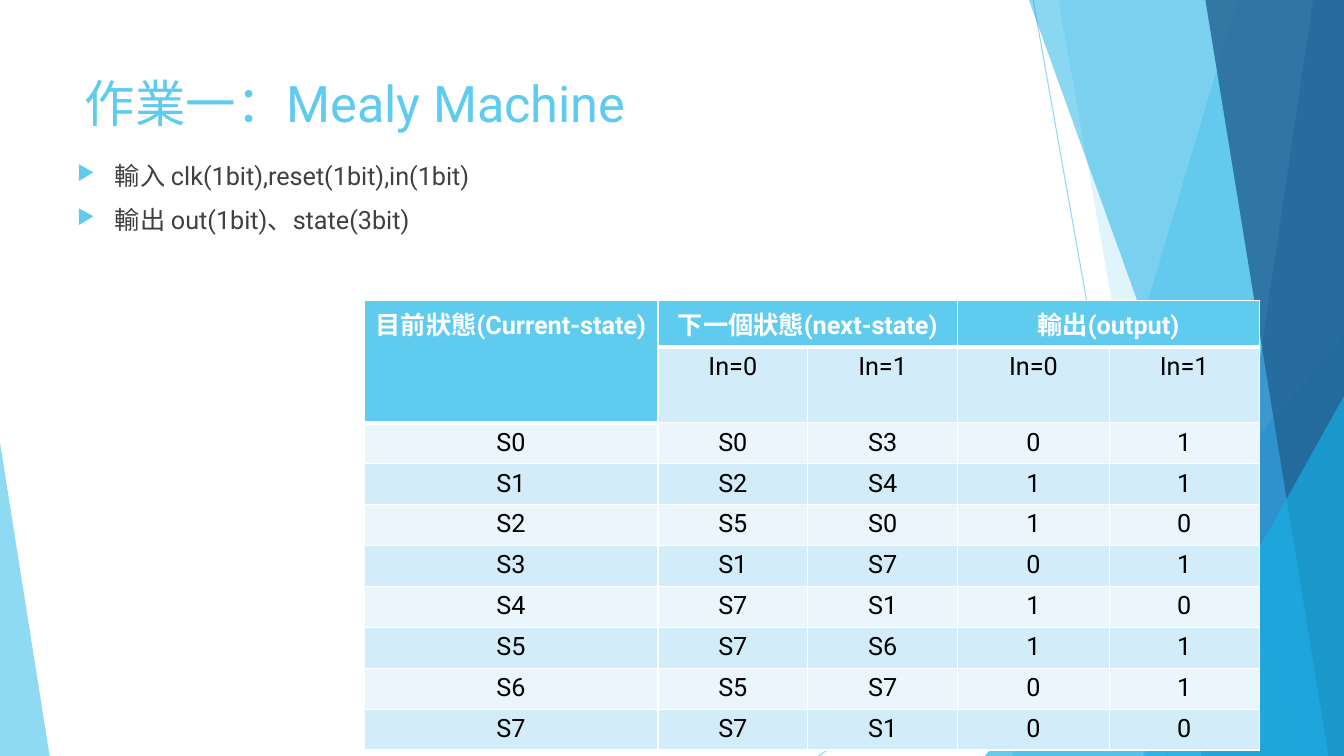
"""Build the Mealy machine homework slide."""
from dataclasses import dataclass

from lxml import etree
from pptx import Presentation
from pptx.dml.color import RGBColor
from pptx.enum.shapes import MSO_CONNECTOR, MSO_SHAPE
from pptx.enum.text import MSO_ANCHOR, PP_ALIGN
from pptx.oxml.ns import qn
from pptx.util import Pt

LINE = MSO_CONNECTOR.STRAIGHT
TRIANGLE = MSO_SHAPE.ISOSCELES_TRIANGLE
TOP = MSO_ANCHOR.TOP
LEFT, CENTER = PP_ALIGN.LEFT, PP_ALIGN.CENTER

SKY = RGBColor(0x5F, 0xCB, 0xEF)
CYAN = RGBColor(0x17, 0xB0, 0xE4)
BLUE = RGBColor(0x2E, 0x83, 0xC3)
NAVY = RGBColor(0x22, 0x62, 0x92)
PALE = RGBColor(0xD2, 0xEC, 0xF9)
MIST = RGBColor(0xEA, 0xF6, 0xFC)
WHITE = RGBColor(0xFF, 0xFF, 0xFF)
BLACK = RGBColor(0, 0, 0)
GRAY = RGBColor(0x40, 0x40, 0x40)
FONT = "Roboto"
WIDE, HIGH = 960, 540


@dataclass
class Ray:
    x1: float
    y1: float
    x2: float
    y2: float


@dataclass
class Pane:
    head: float
    foot: float
    color: RGBColor
    alpha: int


@dataclass
class Wedge:
    left: float
    top: float
    width: float
    peak: int
    color: RGBColor
    alpha: int


RAYS = [Ray(738, 0, 834, HIGH), Ray(WIDE, 290, 584.5, HIGH)]
DECOR = [
    Pane(884, 723, SKY, 36),
    Pane(756, 852, SKY, 20),
    Wedge(703.5, 240, 256.5, 1, CYAN, 66),
    Pane(735, 929.5, CYAN, 50),
    Pane(938, 858, BLUE, 70),
    Pane(861, 949, NAVY, 80),
    Wedge(816.5, 283, 143.5, 1, CYAN, 66),
    Wedge(0, 316, 35.5, 0, SKY, 70),
]
COLS = [210, 107, 107, 108.5, 107]
ROWS = [33.5, 54] + [29.25] * 8
GRID = [
    ["目前狀態(Current-state)", "下一個狀態(next-state)", "", "輸出(output)", ""],
    ["", "In=0", "In=1", "In=0", "In=1"],
    ["S0", "S0", "S3", "0", "1"],
    ["S1", "S2", "S4", "1", "1"],
    ["S2", "S5", "S0", "1", "0"],
    ["S3", "S1", "S7", "0", "1"],
    ["S4", "S7", "S1", "1", "0"],
    ["S5", "S7", "S6", "1", "1"],
    ["S6", "S5", "S7", "0", "1"],
    ["S7", "S7", "S1", "0", "0"],
]
SPANS = [(0, 0, 1, 0), (0, 1, 0, 2), (0, 3, 0, 4)]
TASKS = ["輸入 clk(1bit),reset(1bit),in(1bit)", "輸出 out(1bit)、state(3bit)"]


def fade(shape, alpha: int) -> None:
    """Make the first colour of a shape partly transparent."""
    tint = next(shape._element.spPr.iter(qn("a:srgbClr")))
    etree.SubElement(tint, qn("a:alpha"), val=str(alpha * 1000))


def draw_ray(slide, ray: Ray) -> None:
    """Draw a thin background line."""
    line = slide.shapes.add_connector(
        LINE, Pt(ray.x1), Pt(ray.y1), Pt(ray.x2), Pt(ray.y2))
    line.line.color.rgb = SKY
    line.line.width = Pt(0.75)
    fade(line, 70)
    etree.SubElement(line._element.spPr, qn("a:effectLst"))


def draw_decor(slide, part: Pane | Wedge) -> None:
    """Draw a transparent background facet."""
    if isinstance(part, Pane):
        pen = slide.shapes.build_freeform(Pt(part.head), 0)
        pen.add_line_segments([(Pt(WIDE), 0), (Pt(WIDE), Pt(HIGH)),
                               (Pt(part.foot), Pt(HIGH))], close=True)
        shape = pen.convert_to_shape()
    else:
        shape = slide.shapes.add_shape(
            TRIANGLE, Pt(part.left), Pt(part.top), Pt(part.width), Pt(HIGH - part.top))
        shape.adjustments[0] = part.peak
    shape.shadow.inherit = False
    shape.fill.solid()
    shape.fill.fore_color.rgb = part.color
    shape.line.fill.background()
    fade(shape, part.alpha)


def write(para, text: str, size: float, color: RGBColor,
          bold: bool = False, align: PP_ALIGN = LEFT) -> None:
    """Add one styled run to a paragraph."""
    para.alignment = align
    run = para.add_run()
    run.text = text
    run.font.name = FONT
    run.font.size = Pt(size)
    run.font.bold = bold
    run.font.color.rgb = color


def add_box(slide, left: float, top: float, width: float, height: float):
    """Add a wrapping text box and return its frame."""
    frame = slide.shapes.add_textbox(
        Pt(left), Pt(top), Pt(width), Pt(height)).text_frame
    frame.word_wrap = True
    frame.vertical_anchor = TOP
    return frame


def add_bullet(para) -> None:
    """Give a paragraph a hanging triangle bullet."""
    props = para._p.get_or_add_pPr()
    props.set("marL", str(Pt(27)))
    props.set("indent", str(Pt(-27)))
    tint = etree.SubElement(props, qn("a:buClr"))
    etree.SubElement(tint, qn("a:srgbClr"), val=str(SKY))
    etree.SubElement(props, qn("a:buSzPct"), val="80000")
    etree.SubElement(props, qn("a:buChar"), char="▶")


def add_edges(cell, base: float) -> None:
    """Draw white borders, with a given width at the bottom."""
    props = cell._tc.get_or_add_tcPr()
    for spot, (side, width) in enumerate(
            [("L", 1), ("R", 1), ("T", 1), ("B", base)]):
        edge = etree.Element(qn(f"a:ln{side}"), w=str(Pt(width)))
        fill = etree.SubElement(edge, qn("a:solidFill"))
        etree.SubElement(fill, qn("a:srgbClr"), val=str(WHITE))
        props.insert(spot, edge)


def draw_table(slide) -> None:
    """Draw the state transition table."""
    table = slide.shapes.add_table(
        len(ROWS), len(COLS), Pt(260), Pt(214.5), Pt(sum(COLS)), Pt(sum(ROWS))).table
    for col, width in zip(table.columns, COLS):
        col.width = Pt(width)
    for row, height in zip(table.rows, ROWS):
        row.height = Pt(height)
    for r1, c1, r2, c2 in SPANS:
        table.cell(r1, c1).merge(table.cell(r2, c2))
    for r, row in enumerate(GRID):
        for c, text in enumerate(row):
            cell = table.cell(r, c)
            head = r == 0 or (r == 1 and c == 0)
            cell.fill.solid()
            cell.fill.fore_color.rgb = SKY if head else PALE if r % 2 else MIST
            add_edges(cell, 3 if head else 1)
            if text:
                write(cell.text_frame.paragraphs[0], text, 18,
                      WHITE if head else BLACK, head, CENTER)


def main() -> None:
    """Compose and save the slide."""
    deck = Presentation()
    deck.slide_width, deck.slide_height = Pt(WIDE), Pt(HIGH)
    slide = deck.slides.add_slide(deck.slide_layouts[6])
    for ray in RAYS:
        draw_ray(slide, ray)
    for part in DECOR:
        draw_decor(slide, part)
    title = add_box(slide, 53.5, 48, 677, 104)
    write(title.paragraphs[0], "作業一：Mealy Machine", 36, SKY)
    draw_table(slide)
    body = add_box(slide, 48, 111, 502.5, 193)
    for i, task in enumerate(TASKS):
        para = body.add_paragraph() if i else body.paragraphs[0]
        para.space_before = Pt(10)
        add_bullet(para)
        write(para, task, 18, GRAY)
    deck.save("out.pptx")


if __name__ == "__main__":
    main()
